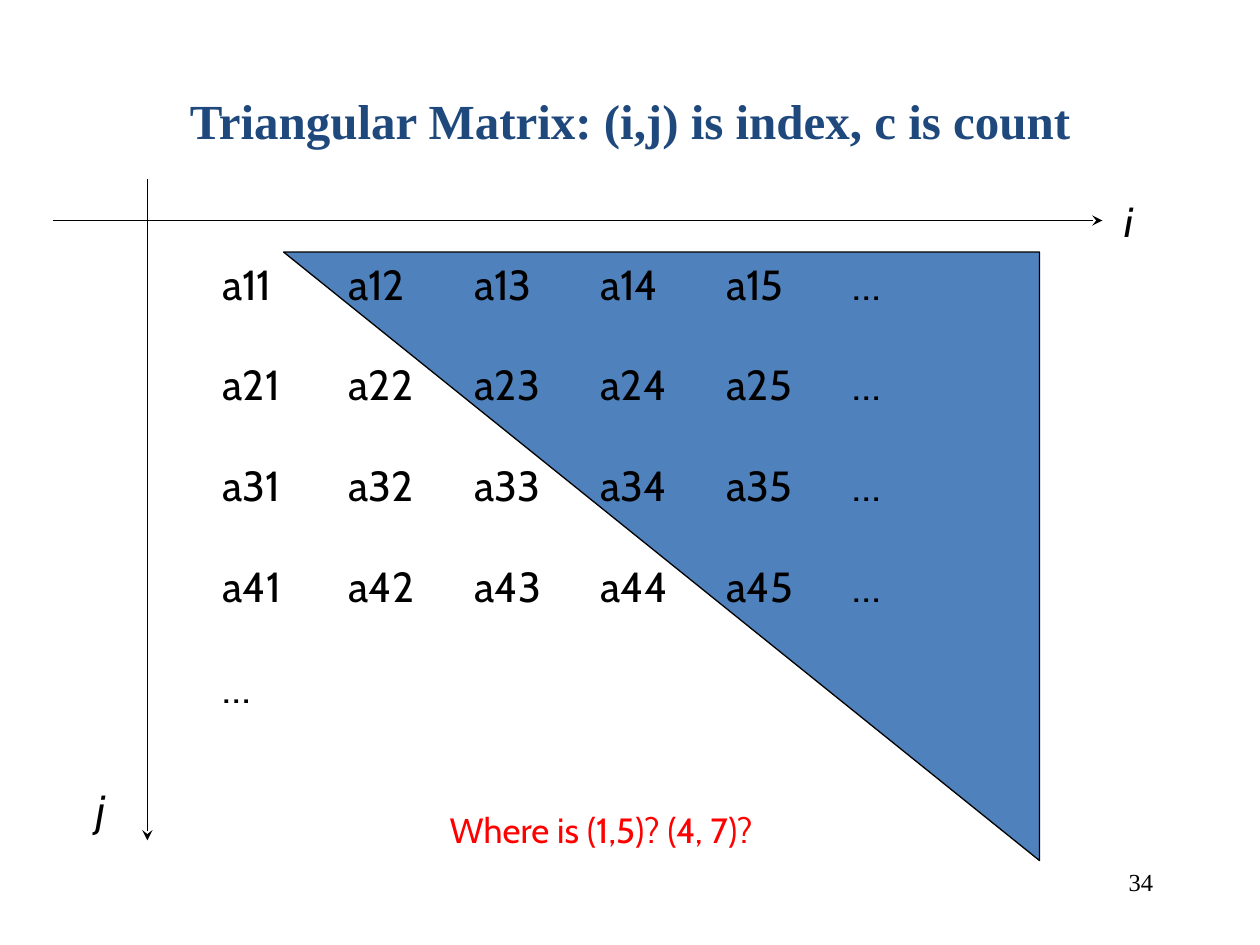
from dataclasses import dataclass

from lxml import etree
from pptx import Presentation
from pptx.dml.color import RGBColor
from pptx.enum.shapes import MSO_CONNECTOR, MSO_SHAPE
from pptx.enum.text import MSO_ANCHOR, MSO_AUTO_SIZE, PP_ALIGN
from pptx.oxml.ns import qn
from pptx.util import Inches, Pt

STRAIGHT = MSO_CONNECTOR.STRAIGHT
RIGHT_TRIANGLE = MSO_SHAPE.RIGHT_TRIANGLE
MIDDLE = MSO_ANCHOR.MIDDLE
NO_AUTOFIT = MSO_AUTO_SIZE.NONE
LEFT, CENTER, RIGHT = PP_ALIGN.LEFT, PP_ALIGN.CENTER, PP_ALIGN.RIGHT
TITLE_ONLY = 5


@dataclass(frozen=True)
class Theme:
    heading_font: str = "Times New Roman"
    body_font: str = "Cabin"
    ink: RGBColor = RGBColor(0x00, 0x00, 0x00)
    heading: RGBColor = RGBColor(0x1F, 0x49, 0x7D)
    fill: RGBColor = RGBColor(0x4F, 0x81, 0xBD)
    question: RGBColor = RGBColor(0xFF, 0x00, 0x00)
    title_size: int = 28
    body_size: int = 24
    question_size: int = 20
    number_size: int = 14
    row_gap: float = 28.8
    line_width: float = 0.75


THEME = Theme()


def add_span(para, text, font, size, color, bold=False, italic=False):
    span = para.add_run()
    span.text = text
    span.font.name = font
    span.font.size = Pt(size)
    span.font.color.rgb = color
    span.font.bold = bold
    span.font.italic = italic


def add_label(page, box, text, font=THEME.body_font, size=THEME.body_size,
              color=THEME.ink, italic=False, align=LEFT):
    frame = page.shapes.add_textbox(*map(Inches, box)).text_frame
    frame.word_wrap = True
    para = frame.paragraphs[0]
    para.alignment = align
    add_span(para, text, font, size, color, italic=italic)


def place_title(page, box, text):
    title = page.shapes.title
    title.left, title.top, title.width, title.height = map(Inches, box)
    frame = title.text_frame
    frame.auto_size = NO_AUTOFIT
    frame.vertical_anchor = MIDDLE
    para = frame.paragraphs[0]
    para.alignment = CENTER
    add_span(para, text, THEME.heading_font, THEME.title_size, THEME.heading, bold=True)


def add_upper_triangle(page, box):
    triangle = page.shapes.add_shape(RIGHT_TRIANGLE, *map(Inches, box))
    triangle.rotation = 180
    triangle.shadow.inherit = False
    triangle.fill.solid()
    triangle.fill.fore_color.rgb = THEME.fill
    triangle.line.color.rgb = THEME.ink
    triangle.line.width = Pt(THEME.line_width)


def set_tab_stops(para, count, pitch):
    stops = etree.SubElement(para._p.get_or_add_pPr(), qn("a:tabLst"))
    for index in range(1, count + 1):
        etree.SubElement(stops, qn("a:tab"), pos=str(index * pitch), algn="l")


def add_matrix(page, box, row_count, column_count):
    """Write the entries, one paragraph a row, with a tab stop for each column."""
    frame = page.shapes.add_textbox(*map(Inches, box)).text_frame
    frame.word_wrap = True
    rows = [
        "\t".join([f"a{row}{column}" for column in range(1, column_count + 1)] + ["…"])
        for row in range(1, row_count + 1)
    ] + ["…"]
    for index, text in enumerate(rows):
        para = frame.add_paragraph() if index else frame.paragraphs[0]
        para.space_after = Pt(THEME.row_gap)
        set_tab_stops(para, column_count, Inches(1))
        add_span(para, text, THEME.body_font, THEME.body_size, THEME.ink)


def add_axis(page, start, end, name, label_box):
    axis = page.shapes.add_connector(STRAIGHT, *map(Inches, start + end))
    axis.line.color.rgb = THEME.ink
    axis.line.width = Pt(THEME.line_width)
    etree.SubElement(axis.line._get_or_add_ln(), qn("a:tailEnd"), type="stealth")
    etree.SubElement(axis._element.spPr, qn("a:effectLst"))
    add_label(page, label_box, name, italic=True)


def build_matrix_page(deck):
    page = deck.slides.add_slide(deck.slide_layouts[TITLE_ONLY])

    # Shaded half behind the entries
    add_upper_triangle(page, (2.25, 2, 6, 4.83))

    # Title and page number
    place_title(page, (0.75, 0.33, 8.5, 1.25), "Triangular Matrix: (i,j) is index, c is count")
    add_label(page, (7.17, 6.83, 2.08, 0.5), "34", font=THEME.heading_font,
              size=THEME.number_size, align=RIGHT)

    # Matrix and its axes
    add_matrix(page, (1.67, 2, 6.92, 3.74), row_count=4, column_count=5)
    add_axis(page, (0.42, 1.75), (8.75, 1.75), "i", (8.83, 1.5, 0.38, 0.5))
    add_axis(page, (1.17, 1.42), (1.17, 6.67), "j", (0.67, 6.17, 0.42, 0.5))

    # Question to the audience
    add_label(page, (3.47, 6.37, 3.02, 0.44), "Where is (1,5)? (4, 7)?",
              size=THEME.question_size, color=THEME.question)


def main():
    deck = Presentation()
    deck.slide_width, deck.slide_height = Inches(10), Inches(7.5)
    build_matrix_page(deck)
    deck.save("out.pptx")


if __name__ == "__main__":
    main()
